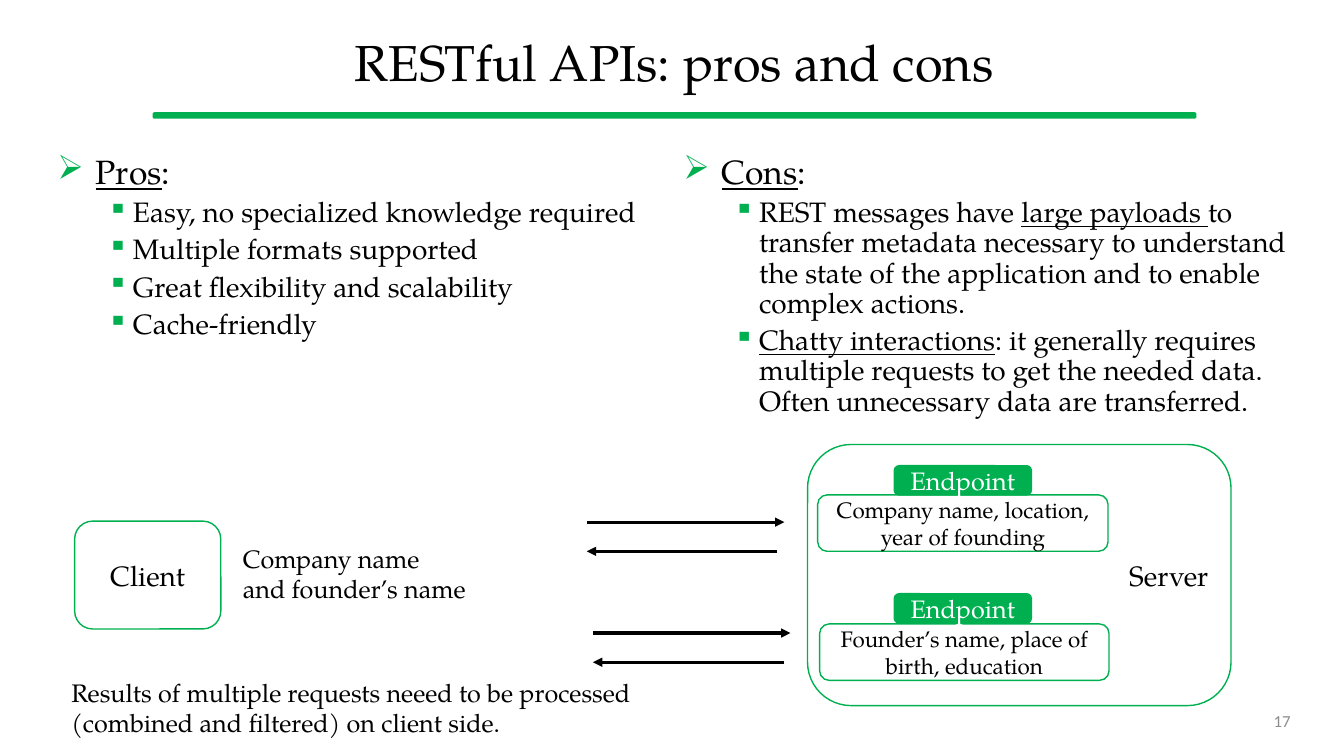
from dataclasses import dataclass
from typing import Optional

import pptx
import pptx.dml.color
import pptx.enum.shapes
import pptx.enum.text
import pptx.oxml.ns
import pptx.util
from lxml import etree

Inches = pptx.util.Inches
Pt = pptx.util.Pt
RGBColor = pptx.dml.color.RGBColor
Align = pptx.enum.text.PP_ALIGN
Anchor = pptx.enum.text.MSO_ANCHOR
qn = pptx.oxml.ns.qn

GREEN = RGBColor(0x00, 0xB0, 0x50)
WHITE = RGBColor(0xFF, 0xFF, 0xFF)
BLACK = RGBColor(0x00, 0x00, 0x00)
GREY = RGBColor(0x8C, 0x8C, 0x8C)
SERIF = "TeX Gyre Pagella"


@dataclass
class Area:
    left: float
    top: float
    width: float
    height: float

    def sizes(self) -> tuple:
        return tuple(Inches(n) for n in (self.left, self.top, self.width, self.height))


@dataclass
class Box:
    area: Area
    text: str = ""
    size: int = 16
    fill: RGBColor = WHITE
    color: RGBColor = BLACK
    align: Align = Align.CENTER
    round: Optional[float] = None


@dataclass
class Label:
    area: Area
    text: str
    size: int = 18
    color: RGBColor = BLACK
    align: Align = Align.LEFT
    anchor: Anchor = Anchor.TOP
    font: str = SERIF
    space: float = 1.0


@dataclass
class Arrow:
    start: float
    end: float
    y: float


@dataclass
class Part:
    text: str
    under: bool = False


@dataclass
class Level:
    mark: str
    size: int
    left: float
    hang: float
    before: int


@dataclass
class Column:
    area: Area
    head: str
    items: list[list[Part]]


HEAD = Level("➢", 24, 0.38, 0.38, 0)
ITEM = Level("▪", 20, 0.75, 0.25, 5)

BAR = Box(Area(1.52, 1.12, 10.34, 0.05), fill=GREEN, round=0.26)
SERVER = Box(Area(8.01, 4.41, 4.2, 2.59), "Server", 20, align=Align.RIGHT)
CLIENT = Box(Area(0.74, 5.17, 1.45, 1.07), "Client", 20)
REPLIES = [
    Box(Area(8.11, 4.91, 2.88, 0.56), "Company name, location, year of founding"),
    Box(Area(8.13, 6.19, 2.87, 0.56), "Founder’s name, place of birth, education"),
]
TABS = [
    Box(Area(8.87, top, 1.36, 0.29), "Endpoint", 18, GREEN, WHITE)
    for top in (4.62, 5.89)
]
ARROWS = [
    Arrow(5.82, 7.78, 5.18),
    Arrow(7.71, 5.82, 5.47),
    Arrow(5.88, 7.84, 6.28),
    Arrow(7.78, 5.88, 6.57),
]
LABELS = [
    Label(Area(0.47, 0.18, 12.43, 0.94), "RESTful APIs: pros and cons", 36,
          align=Align.CENTER, anchor=Anchor.MIDDLE, space=0.9),
    Label(Area(2.31, 5.34, 2.43, 0.71), "Company name and founder’s name"),
    Label(Area(0.61, 6.67, 6.3, 0.71),
          "Results of multiple requests neeed to be processed "
          "(combined and filtered) on client side."),
    Label(Area(9.42, 6.95, 3.48, 0.4), "17", 12, GREY, Align.RIGHT, Anchor.MIDDLE,
          "Calibri"),
]
COLUMNS = [
    Column(Area(0.47, 1.49, 6.08, 2.14), "Pros", [
        [Part("Easy, no specialized knowledge required")],
        [Part("Multiple formats supported")],
        [Part("Great flexibility and scalability")],
        [Part("Cache-friendly")],
    ]),
    Column(Area(6.68, 1.49, 6.48, 2.73), "Cons", [
        [Part("REST messages have "), Part("large payloads ", True),
         Part("to transfer metadata necessary to understand the state of the "
              "application and to enable complex actions.")],
        [Part("Chatty interactions", True),
         Part(": it generally requires multiple requests to get the needed data. "
              "Often unnecessary data are transferred.")],
    ]),
]


def style(run, size: int, color: RGBColor, font: str = SERIF) -> None:
    run.font.name = font
    run.font.size = Pt(size)
    run.font.color.rgb = color


def write(frame, item: Box | Label, anchor: Anchor, font: str = SERIF) -> None:
    frame.word_wrap = True
    frame.vertical_anchor = anchor
    frame.text = item.text
    para = frame.paragraphs[0]
    para.alignment = item.align
    for run in para.runs:
        style(run, item.size, item.color, font)


def draw_box(slide, box: Box) -> None:
    kind = pptx.enum.shapes.MSO_SHAPE.ROUNDED_RECTANGLE
    shape = slide.shapes.add_shape(kind, *box.area.sizes())
    shape.shadow.inherit = False
    shape.fill.solid()
    shape.fill.fore_color.rgb = box.fill
    shape.line.color.rgb = GREEN
    shape.line.width = Pt(1)
    if box.round is not None:
        shape.adjustments[0] = box.round
    if box.text:
        write(shape.text_frame, box, Anchor.MIDDLE)


def draw_label(slide, label: Label) -> None:
    frame = slide.shapes.add_textbox(*label.area.sizes()).text_frame
    write(frame, label, label.anchor, label.font)
    frame.paragraphs[0].line_spacing = label.space


def add_point(para, level: Level, parts: list[Part]) -> None:
    para.line_spacing = 0.9
    para.space_before = Pt(level.before)
    props = para._p.get_or_add_pPr()
    props.set("marL", str(Inches(level.left)))
    props.set("indent", str(-Inches(level.hang)))
    tint = etree.SubElement(props, qn("a:buClr"))
    etree.SubElement(tint, qn("a:srgbClr"), val=str(GREEN))
    etree.SubElement(props, qn("a:buChar"), char=level.mark)
    for part in parts:
        run = para.add_run()
        run.text = part.text
        style(run, level.size, BLACK)
        if part.under:
            run.font.underline = True


def draw_column(slide, column: Column) -> None:
    frame = slide.shapes.add_textbox(*column.area.sizes()).text_frame
    frame.word_wrap = True
    add_point(frame.paragraphs[0], HEAD, [Part(column.head, True), Part(":")])
    for parts in column.items:
        para = frame.add_paragraph()
        para.level = 1
        add_point(para, ITEM, parts)


def draw_arrow(slide, arrow: Arrow) -> None:
    kind = pptx.enum.shapes.MSO_CONNECTOR.STRAIGHT
    y = Inches(arrow.y)
    link = slide.shapes.add_connector(kind, Inches(arrow.start), y, Inches(arrow.end), y)
    link.line.color.rgb = BLACK
    link.line.width = Pt(2.25)
    etree.SubElement(link.line._get_or_add_ln(), qn("a:tailEnd"), type="triangle")
    etree.SubElement(link._element.spPr, qn("a:effectLst"))


def main() -> None:
    deck = pptx.Presentation()
    deck.slide_width, deck.slide_height = Inches(13.33), Inches(7.5)
    slide = deck.slides.add_slide(deck.slide_layouts[6])
    for box in [BAR, SERVER, CLIENT, *REPLIES, *TABS]:
        draw_box(slide, box)
    for column in COLUMNS:
        draw_column(slide, column)
    for arrow in ARROWS:
        draw_arrow(slide, arrow)
    for label in LABELS:
        draw_label(slide, label)
    deck.save("out.pptx")


if __name__ == "__main__":
    main()
